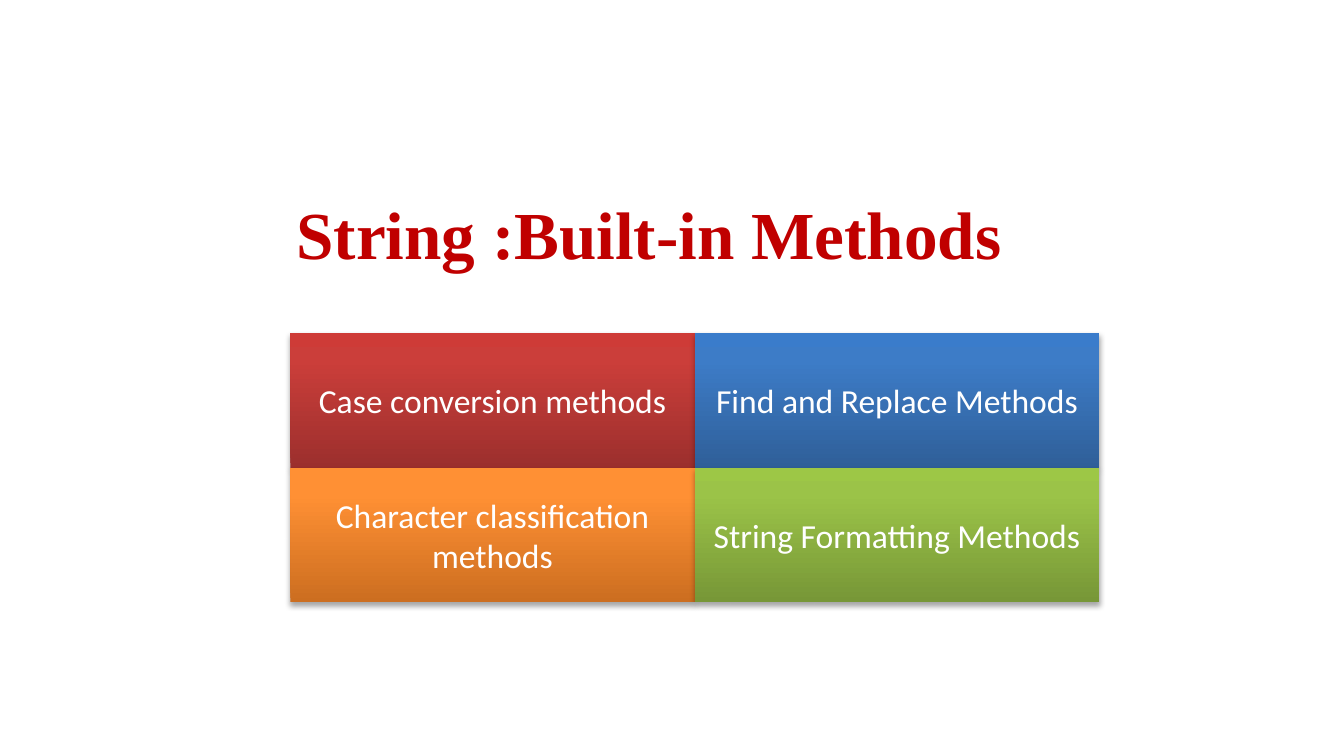
from copy import deepcopy

from lxml.etree import SubElement
from pptx import Presentation
from pptx.dml.color import RGBColor
from pptx.enum.shapes import MSO_SHAPE
from pptx.enum.text import MSO_ANCHOR, PP_ALIGN
from pptx.oxml.ns import qn
from pptx.util import Inches, Pt

WHITE = RGBColor(0xFF, 0xFF, 0xFF)
CRIMSON = RGBColor(0xC0, 0x00, 0x00)
RED = (RGBColor(0x9C, 0x2F, 0x2D), RGBColor(0xCB, 0x3E, 0x3A), RGBColor(0xCE, 0x3B, 0x37))
BLUE = (RGBColor(0x2F, 0x5F, 0x99), RGBColor(0x3D, 0x7C, 0xC7), RGBColor(0x3A, 0x7C, 0xCB))
ORANGE = (RGBColor(0xCC, 0x6E, 0x20), RGBColor(0xFF, 0x90, 0x34), RGBColor(0xFF, 0x91, 0x36))
GREEN = (RGBColor(0x77, 0x97, 0x37), RGBColor(0x9B, 0xC3, 0x48), RGBColor(0x9D, 0xC7, 0x46))

WIDTH = 10
HEIGHT = WIDTH * 9 / 16
LEFT, TOP = 2.16, 2.48
COLUMN, ROW = 3.01, 1
STOPS = (0, 0.8, 1)
TILES = (
    (("Case conversion methods", RED), ("Find and Replace Methods", BLUE)),
    (("Character classification methods", ORANGE), ("String Formatting Methods", GREEN)),
)


def write(frame, text, font="Calibri", size=18, color=WHITE, bold=False):
    """Put centred, formatted text into a text frame."""
    frame.word_wrap = True
    frame.vertical_anchor = MSO_ANCHOR.MIDDLE
    line = frame.paragraphs[0]
    line.alignment = PP_ALIGN.CENTER
    run = line.add_run()
    run.text = text
    run.font.name, run.font.size, run.font.bold = font, Pt(size), bold
    run.font.color.rgb = color


class Deck:
    """Hold the style and the current slide."""

    def __init__(self):
        """Start a deck with one title-only slide."""
        self.deck = Presentation()
        self.deck.slide_width, self.deck.slide_height = Inches(WIDTH), Inches(HEIGHT)
        self.slide = self.deck.slides.add_slide(self.deck.slide_layouts[5])

    def title(self, text):
        """Place and format the title."""
        title = self.slide.shapes.title
        title.left, title.top = Inches(0.32), Inches(1.31)
        title.width, title.height = Inches(9.02), Inches(0.84)
        write(title.text_frame, text, font="Times New Roman", size=36, color=CRIMSON, bold=True)

    def tile(self, column, row, text, colors):
        """Draw a shaded tile in one cell of the grid."""
        tile = self.slide.shapes.add_shape(
            MSO_SHAPE.RECTANGLE,
            Inches(LEFT + column * COLUMN), Inches(TOP + row * ROW),
            Inches(COLUMN), Inches(ROW),
        )
        tile.line.fill.background()
        self.shade(tile, colors)
        self.shadow(tile)
        write(tile.text_frame, text)

    def shade(self, shape, colors):
        """Fill a shape with a three-stop gradient rising from the bottom."""
        shape.fill.gradient()
        shape.fill.gradient_angle = 90
        stops = next(shape.element.spPr.iter(qn("a:gsLst")))
        stops.append(deepcopy(stops[-1]))
        for stop, place, color in zip(shape.fill.gradient_stops, STOPS, colors):
            stop.position = place
            stop.color.rgb = color

    def shadow(self, shape):
        """Cast a soft shadow below a shape."""
        shape.shadow.inherit = False
        effects = shape.element.spPr.find(qn("a:effectLst"))
        shadow = SubElement(
            effects, qn("a:outerShdw"), blurRad=str(Pt(3.1)), dist=str(Pt(1.8)),
            dir="5400000", rotWithShape="0",
        )
        color = SubElement(shadow, qn("a:srgbClr"), val="000000")
        SubElement(color, qn("a:alpha"), val="35000")

    def save(self):
        """Save the deck."""
        self.deck.save("out.pptx")


def main():
    """Build the slide."""
    deck = Deck()
    deck.title("String :Built-in Methods")
    for row, cells in enumerate(TILES):
        for column, (text, colors) in enumerate(cells):
            deck.tile(column, row, text, colors)
    deck.save()


if __name__ == "__main__":
    main()
